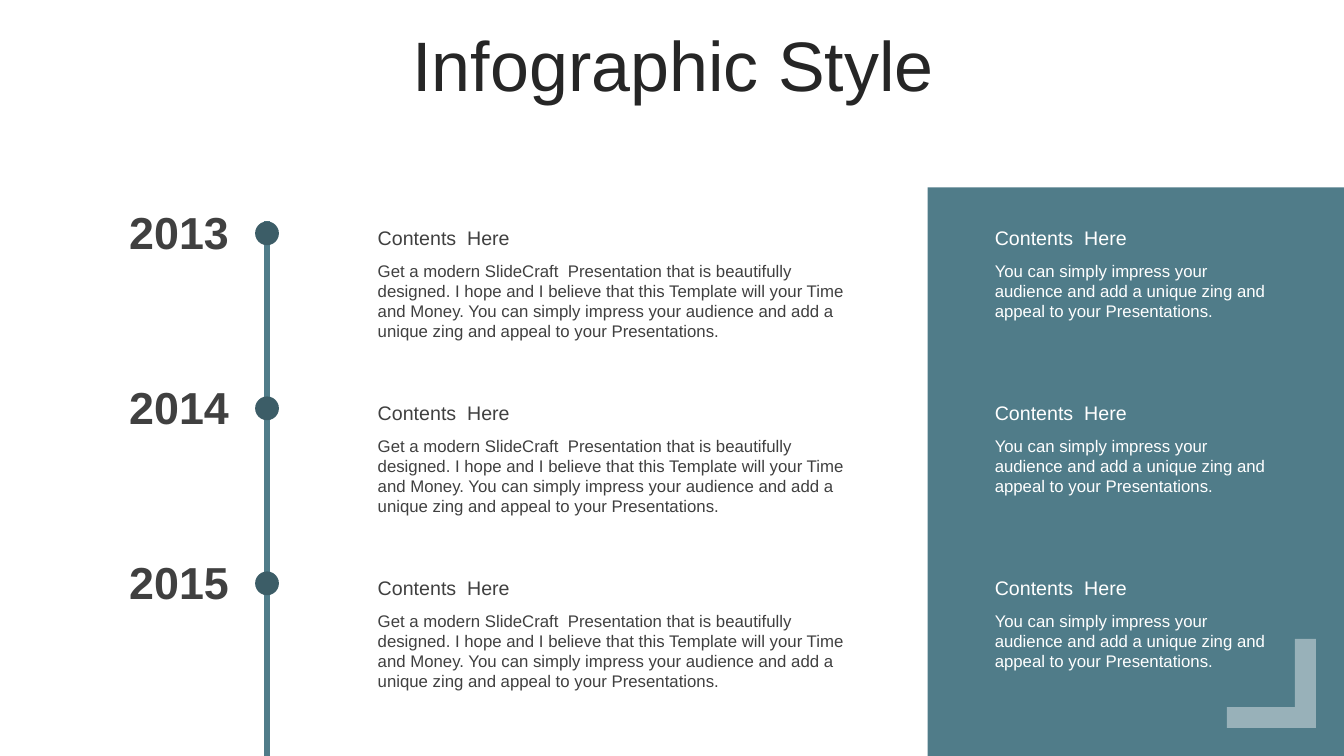
from dataclasses import dataclass

from lxml import etree
from pptx import Presentation
from pptx.dml.color import RGBColor
from pptx.enum.shapes import MSO_CONNECTOR, MSO_SHAPE
from pptx.enum.text import MSO_ANCHOR, MSO_AUTO_SIZE, PP_ALIGN
from pptx.oxml.ns import qn
from pptx.util import Cm, Pt

STRAIGHT = MSO_CONNECTOR.STRAIGHT
OVAL, RECTANGLE, CORNER = MSO_SHAPE.OVAL, MSO_SHAPE.RECTANGLE, MSO_SHAPE.CORNER
LEFT, CENTER, RIGHT = PP_ALIGN.LEFT, PP_ALIGN.CENTER, PP_ALIGN.RIGHT
TOP, MIDDLE = MSO_ANCHOR.TOP, MSO_ANCHOR.MIDDLE
NO_FIT, GROW = MSO_AUTO_SIZE.NONE, MSO_AUTO_SIZE.SHAPE_TO_FIT_TEXT


@dataclass(frozen=True)
class Theme:
    font: str = "Arial"
    title: str = "262626"
    ink: str = "404040"
    teal: str = "507C89"
    dark_teal: str = "3C5D67"
    white: str = "FFFFFF"
    title_size: float = 50
    year_size: float = 32
    heading_size: float = 14
    body_size: float = 12
    line_width: float = 4.5


@dataclass(frozen=True)
class Box:
    """A region of the page, in centimetres."""
    left: float
    top: float
    width: float
    height: float

    def lengths(self):
        return Cm(self.left), Cm(self.top), Cm(self.width), Cm(self.height)


THEME = Theme()
PAGE = Box(0, 0, 33.87, 19.05)
TITLE = Box(0.89, 0.79, 32.16, 2.01)
TIMELINE = Box(1.85, 5.58, 20.09, 13.47)
PANEL = Box(23.38, 4.72, 10.49, 14.33)
ROW_PITCH = 4.41
HEADING_HEIGHT = 0.86

YEARS = ["2013", "2014", "2015"]
HEADING = "Contents  Here"
STORY = ("Get a modern SlideCraft  Presentation that is beautifully designed. "
         "I hope and I believe that this Template will your Time and Money. "
         "You can simply impress your audience and add a unique zing and "
         "appeal to your Presentations.")
SUMMARY = ("You can simply impress your audience and add a unique zing and "
           "appeal to your Presentations.")


def add_text(shapes, box, text, *, size, color, bold=False, align=LEFT,
             anchor=TOP, fit=GROW, spacing=1.0):
    frame = shapes.add_textbox(*box.lengths()).text_frame
    frame.word_wrap = True
    frame.auto_size = fit
    frame.vertical_anchor = anchor
    para = frame.paragraphs[0]
    para.alignment = align
    para.line_spacing = spacing
    span = para.add_run()
    span.text = text
    span.font.name = THEME.font
    span.font.size = Pt(size)
    span.font.bold = bold
    span.font.color.rgb = RGBColor.from_string(color)


def add_filled(shapes, kind, box, color):
    shape = shapes.add_shape(kind, *box.lengths())
    shape.shadow.inherit = False
    shape.fill.solid()
    shape.fill.fore_color.rgb = RGBColor.from_string(color)
    shape.line.fill.background()
    return shape


def add_entry(shapes, box, text, color):
    """Group a heading with the text below it."""
    group = shapes.add_group_shape()
    body = Box(box.left, box.top + HEADING_HEIGHT,
               box.width, box.height - HEADING_HEIGHT)
    heading = Box(box.left, box.top, box.width, HEADING_HEIGHT)
    add_text(group.shapes, body, text, size=THEME.body_size, color=color)
    add_text(group.shapes, heading, HEADING, size=THEME.heading_size, color=color)


def add_title(shapes, box):
    add_text(shapes, box, "Infographic Style", size=THEME.title_size,
             color=THEME.title, align=CENTER, anchor=MIDDLE, fit=NO_FIT,
             spacing=0.8)


def add_timeline(shapes, box):
    dot = 0.6
    axis = box.left + 4.88
    line = shapes.add_connector(STRAIGHT, Cm(axis), Cm(box.top),
                                Cm(axis), Cm(box.top + box.height))
    line.line.color.rgb = RGBColor.from_string(THEME.teal)
    line.line.width = Pt(THEME.line_width)
    etree.SubElement(line._element.spPr, qn("a:effectLst"))

    for row, year in enumerate(YEARS):
        top = box.top + row * ROW_PITCH
        add_filled(shapes, OVAL, Box(axis - dot / 2, top, dot, dot),
                   THEME.dark_teal)
        add_entry(shapes, Box(box.left + 7.42, top, 12.67, 3.17),
                  STORY, THEME.ink)
        add_text(shapes, Box(box.left, top - 0.54, 4.17, 1.62), year,
                 size=THEME.year_size, color=THEME.ink, bold=True, align=RIGHT)


def add_panel(shapes, box):
    add_filled(shapes, RECTANGLE, box, THEME.teal)
    for row in range(len(YEARS)):
        top = box.top + 0.86 + row * ROW_PITCH
        add_entry(shapes, Box(box.left + 1.44, top, 7.44, 2.66),
                  SUMMARY, THEME.white)

    side, margin = 2.24, 0.71
    corner = add_filled(shapes, CORNER,
                        Box(box.left + box.width - margin - side,
                            box.top + box.height - margin - side, side, side),
                        THEME.white)
    corner.rotation = 270
    for index in range(2):
        corner.adjustments[index] = 0.234
    color = corner._element.spPr.find(qn("a:solidFill"))[0]
    etree.SubElement(color, qn("a:alpha"), val="41000")


def main():
    deck = Presentation()
    deck.slide_width, deck.slide_height = Cm(PAGE.width), Cm(PAGE.height)
    blank = deck.slide_layouts[6]
    shapes = deck.slides.add_slide(blank).shapes
    add_title(shapes, TITLE)
    add_timeline(shapes, TIMELINE)
    add_panel(shapes, PANEL)
    deck.save("out.pptx")


if __name__ == "__main__":
    main()
